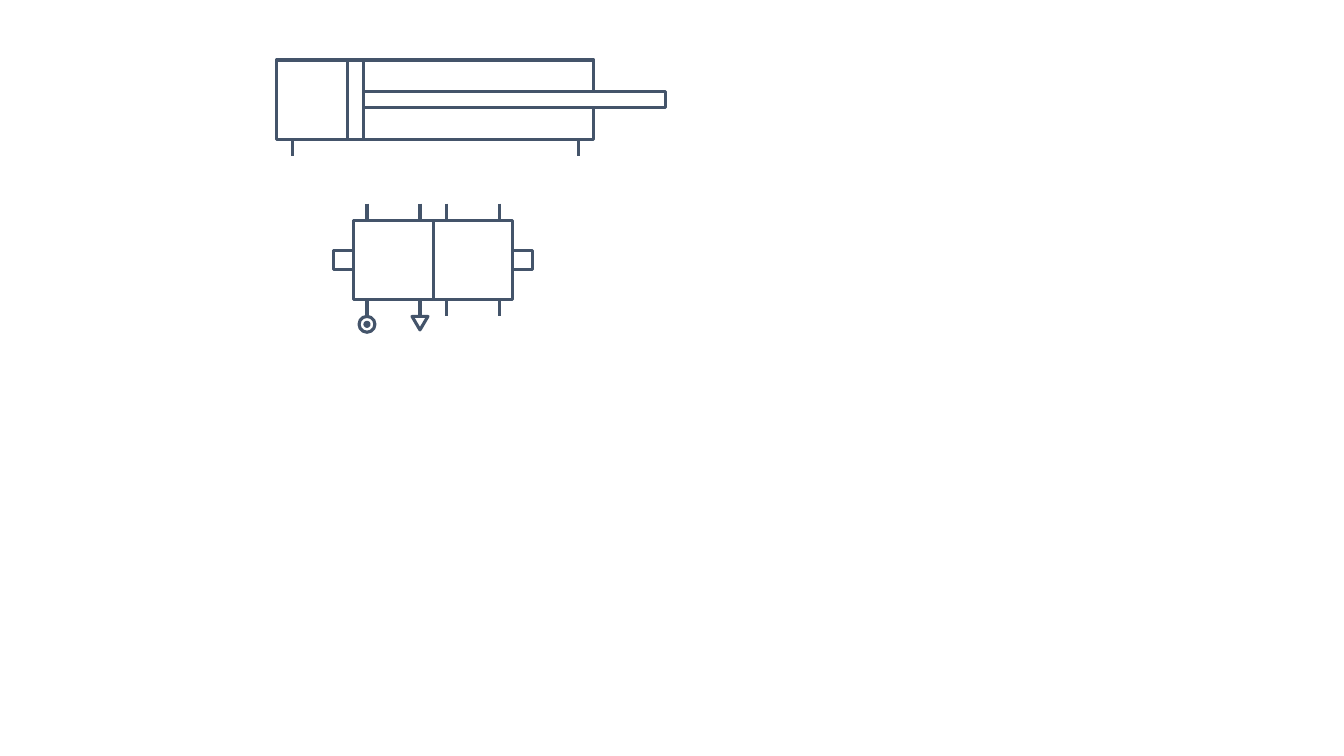
"""Draw a hydraulic cylinder above its two-position directional valve."""
from dataclasses import dataclass
from typing import Optional

from lxml import etree
from pptx import Presentation
from pptx.dml.color import RGBColor
from pptx.enum.shapes import MSO_CONNECTOR, MSO_SHAPE
from pptx.oxml.ns import qn
from pptx.util import Inches, Pt

SLATE = RGBColor(0x44, 0x54, 0x6A)
WHITE = RGBColor(0xFF, 0xFF, 0xFF)
RECTANGLE = MSO_SHAPE.RECTANGLE
OVAL = MSO_SHAPE.OVAL
TRIANGLE = MSO_SHAPE.ISOSCELES_TRIANGLE
STRAIGHT = MSO_CONNECTOR.STRAIGHT

SLIDE_SIZE = {"slide_width": Inches(13.33), "slide_height": Inches(7.5)}
LINE_FORMAT = {"width": Pt(2.25)}
CELL = Inches(0.63) / 4
BODY = 5
PORT_LENGTH = 1.05
ACTUATOR = 1.25
SUPPLY = 1
DOT = 0.25


@dataclass(frozen=True)
class Origin:
    column: float
    row: float

    def place(self, column: float, row: float) -> tuple[int, int]:
        return round((self.column + column) * CELL), round((self.row + row) * CELL)


@dataclass(frozen=True)
class Part:
    column: float
    row: float
    columns: float
    rows: float
    kind: int = RECTANGLE
    fill: Optional[RGBColor] = None
    rotation: float = 0


@dataclass(frozen=True)
class Port:
    column: float
    row: float


CYLINDER = Origin(17.4, 3.78)
VALVE = Origin(22.28, 13.88)

CYLINDER_PARTS = [
    Part(0, 0, 4 * BODY, BODY),
    Part(4.5, 0, 1, BODY),
    Part(5.5, 2, 19, 1, fill=WHITE),
]
CYLINDER_PORTS = [Port(column, BODY) for column in (1, 19.05)]

ACTUATOR_ROW = (BODY - ACTUATOR) / 2
VALVE_BODIES = [
    Part(0, 0, BODY, BODY),
    Part(-ACTUATOR, ACTUATOR_ROW, ACTUATOR, ACTUATOR),
    Part(2 * BODY, ACTUATOR_ROW, ACTUATOR, ACTUATOR),
    Part(BODY, 0, BODY, BODY),
]
PORT_COLUMNS = [BODY * sixths / 6 for sixths in (1, 5, 7, 11)]
VALVE_PORTS = [Port(column, row)
               for row in (BODY, -PORT_LENGTH) for column in PORT_COLUMNS]
PRESSURE_COLUMN, TANK_COLUMN = PORT_COLUMNS[:2]
SUPPLY_ROW = BODY + PORT_LENGTH
DOT_ROW = SUPPLY_ROW + (SUPPLY - DOT) / 2
SUPPLY_PARTS = [
    Part(PRESSURE_COLUMN - SUPPLY / 2, SUPPLY_ROW, SUPPLY, SUPPLY, OVAL),
    Part(PRESSURE_COLUMN - DOT / 2, DOT_ROW, DOT, DOT, OVAL, SLATE),
    Part(TANK_COLUMN - SUPPLY / 2, SUPPLY_ROW, SUPPLY, 0.85, TRIANGLE, rotation=180),
]


def set_format(target: object, values: dict) -> None:
    for name, value in values.items():
        setattr(target, name, value)


def style_line(shape) -> None:
    shape.line.color.rgb = SLATE
    set_format(shape.line, LINE_FORMAT)


def draw_parts(shapes, origin: Origin, parts: list[Part]) -> None:
    for part in parts:
        left, top = origin.place(part.column, part.row)
        width, height = round(part.columns * CELL), round(part.rows * CELL)
        shape = shapes.add_shape(part.kind, left, top, width, height)
        shape.shadow.inherit = False
        if part.rotation:
            shape.rotation = part.rotation
        style_line(shape)
        if part.fill is None:
            shape.fill.background()
        else:
            shape.fill.solid()
            shape.fill.fore_color.rgb = part.fill


def draw_ports(shapes, origin: Origin, ports: list[Port]) -> None:
    for port in ports:
        start = origin.place(port.column, port.row)
        end = origin.place(port.column, port.row + PORT_LENGTH)
        connector = shapes.add_connector(STRAIGHT, *start, *end)
        style_line(connector)
        properties = connector._element.find(qn("p:spPr"))
        etree.SubElement(properties, qn("a:effectLst"))


def main() -> None:
    presentation = Presentation()
    set_format(presentation, SLIDE_SIZE)
    slide = presentation.slides.add_slide(presentation.slide_layouts[6])

    valve = slide.shapes.add_group_shape()
    draw_parts(valve.shapes, VALVE, VALVE_BODIES)
    draw_ports(valve.shapes, VALVE, VALVE_PORTS)
    draw_parts(valve.shapes, VALVE, SUPPLY_PARTS)

    cylinder = slide.shapes.add_group_shape()
    draw_parts(cylinder.shapes, CYLINDER, CYLINDER_PARTS)
    draw_ports(slide.shapes, CYLINDER, CYLINDER_PORTS)

    presentation.save("out.pptx")


if __name__ == "__main__":
    main()
